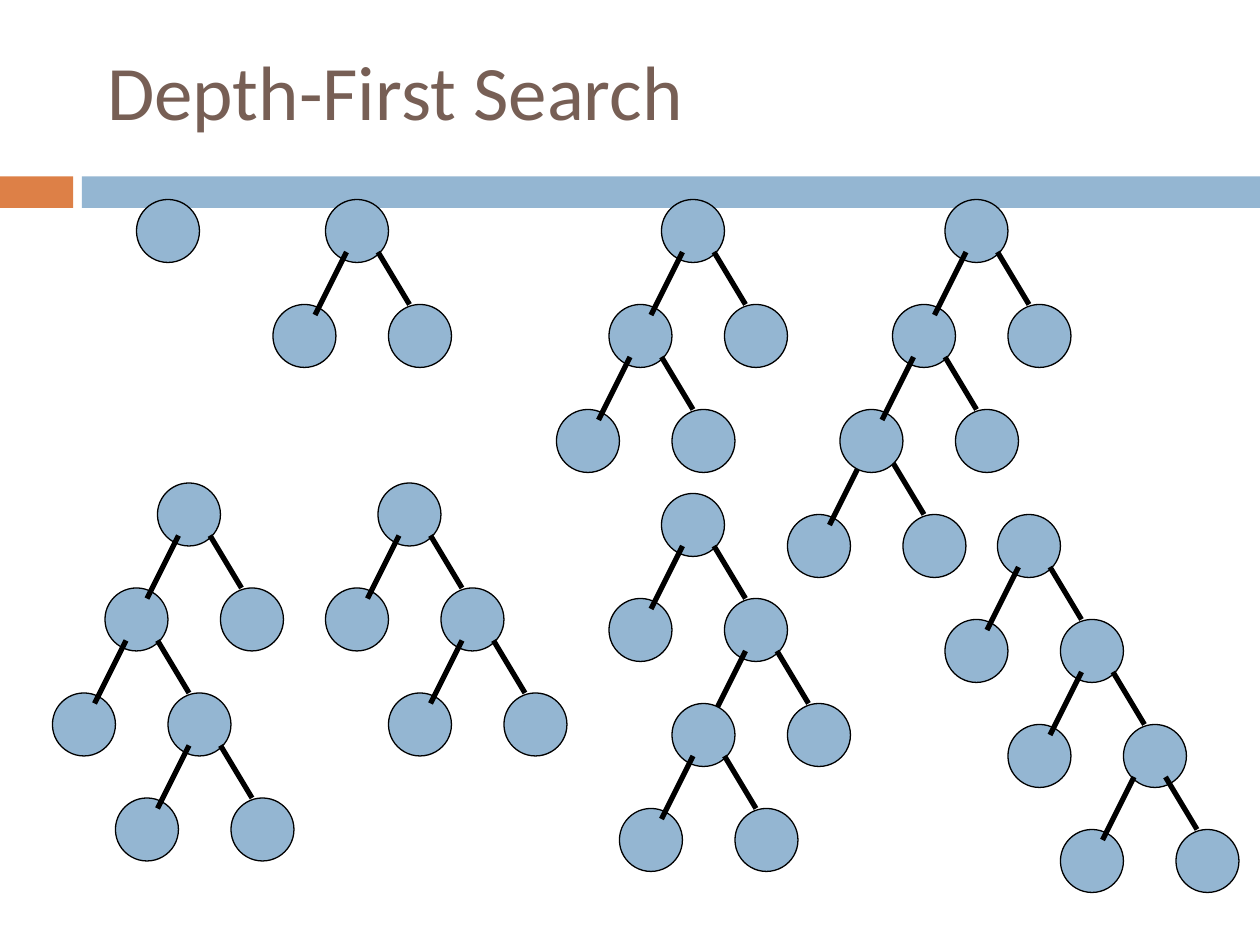
from dataclasses import dataclass
from typing import Any

from lxml.etree import SubElement
from pptx import Presentation
from pptx.dml.color import RGBColor
from pptx.enum.shapes import MSO_CONNECTOR as Connector, MSO_SHAPE as Shape
from pptx.enum.text import MSO_ANCHOR as Anchor, PP_ALIGN as Align
from pptx.oxml.ns import qn
from pptx.util import Inches, Pt

Point = tuple[int, int]


@dataclass(frozen=True)
class Theme:
    font: str = "Calibri"
    title_size: int = 44
    title: RGBColor = RGBColor(0x77, 0x5F, 0x55)
    orange: RGBColor = RGBColor(0xDD, 0x80, 0x47)
    blue: RGBColor = RGBColor(0x94, 0xB6, 0xD2)
    line: RGBColor = RGBColor(0, 0, 0)
    outline_width: float = 0.75
    edge_width: float = 3


@dataclass(frozen=True)
class Branch:
    """A pair of children under the root ("") or the previous left or right child."""
    turn: str = ""
    shift: int = 0
    at_back: bool = False
    child_on_top: bool = False


@dataclass(frozen=True)
class Tree:
    root: Point
    branches: tuple[Branch, ...] = ()


THEME = Theme()

# The trees sit on a grid of twelfths of an inch; offsets are from a parent's corner
GRID = 12
NODE_SIZE = 6
CHILD = {"": (0, 0), "L": (-5, 10), "R": (6, 10)}
EDGES = (((2, 5), (-1, 11)), ((5, 5), (8, 10)))

TREES = (
    Tree((13, 19)),
    Tree((63, 19), (Branch(), Branch("L"))),
    Tree((90, 19), (Branch(), Branch("L"), Branch("L", at_back=True))),
    Tree((31, 19), (Branch(),)),
    Tree((15, 46), (Branch(), Branch("L"), Branch("R"))),
    Tree((36, 46), (Branch(), Branch("R"))),
    Tree((63, 47), (Branch(), Branch("R", child_on_top=True), Branch("L"))),
    Tree((95, 49), (Branch(), Branch("R"), Branch("R", shift=-1))),
)


def grid(units: int) -> int:
    return Inches(units / GRID)


def add(first: Point, second: Point) -> Point:
    return first[0] + second[0], first[1] + second[1]


def draw_bar(shapes: Any, left: float, width: float, color: RGBColor) -> None:
    bar = shapes.add_shape(Shape.RECTANGLE, Inches(left), Inches(1.4),
                           Inches(width), Inches(0.25))
    bar.shadow.inherit = False
    bar.fill.solid()
    bar.fill.fore_color.rgb = color
    bar.line.fill.background()


def draw_node(shapes: Any, corner: Point) -> None:
    node = shapes.add_shape(Shape.OVAL, *map(grid, corner), grid(NODE_SIZE), grid(NODE_SIZE))
    node.shadow.inherit = False
    node.fill.solid()
    node.fill.fore_color.rgb = THEME.blue
    node.line.color.rgb = THEME.line
    node.line.width = Pt(THEME.outline_width)


def draw_edge(shapes: Any, start: Point, end: Point) -> None:
    edge = shapes.add_connector(Connector.STRAIGHT, *map(grid, start + end))
    edge.line.color.rgb = THEME.line
    edge.line.width = Pt(THEME.edge_width)
    SubElement(edge._element.spPr, qn("a:effectLst"))


def draw_branch(shapes: Any, parent: Point, branch: Branch) -> None:
    origin = add(parent, (branch.shift, 0))
    if not branch.child_on_top:
        draw_node(shapes, add(origin, CHILD["L"]))
    draw_node(shapes, add(origin, CHILD["R"]))
    for start, end in EDGES:
        draw_edge(shapes, add(origin, start), add(origin, end))
    if branch.child_on_top:
        draw_node(shapes, add(origin, CHILD["L"]))


def draw_tree(shapes: Any, tree: Tree) -> None:
    if tree.branches:
        shapes = shapes.add_group_shape().shapes
    # Follow the turns down the tree to find each branch's parent
    parent = tree.root
    placed = []
    for branch in tree.branches:
        parent = add(parent, CHILD[branch.turn])
        placed.append((parent, branch))
    # Branches at the back come before the root, the rest after it
    for corner, branch in placed:
        if branch.at_back:
            draw_branch(shapes, corner, branch)
    draw_node(shapes, tree.root)
    for corner, branch in placed:
        if not branch.at_back:
            draw_branch(shapes, corner, branch)


def write_title(title: Any, text: str) -> None:
    box = {"left": 0.75, "top": 0.25, "width": 8.5, "height": 0.92}
    for name, value in box.items():
        setattr(title, name, Inches(value))
    title.text_frame.vertical_anchor = Anchor.MIDDLE
    paragraph = title.text_frame.paragraphs[0]
    paragraph.alignment = Align.LEFT
    run = paragraph.add_run()
    run.text = text
    for name, value in {"name": THEME.font, "size": Pt(THEME.title_size)}.items():
        setattr(run.font, name, value)
    run.font.color.rgb = THEME.title


def main() -> None:
    presentation = Presentation()
    presentation.slide_width, presentation.slide_height = Inches(10), Inches(7.5)
    slide = presentation.slides.add_slide(presentation.slide_layouts[5])

    # Title and the two-colour band below it
    write_title(slide.shapes.title, "Depth-First Search")
    draw_bar(slide.shapes, 0, 0.58, THEME.orange)
    draw_bar(slide.shapes, 0.65, 9.35, THEME.blue)

    # Successive stages of the search
    for tree in TREES:
        draw_tree(slide.shapes, tree)

    presentation.save("out.pptx")


if __name__ == "__main__":
    main()
